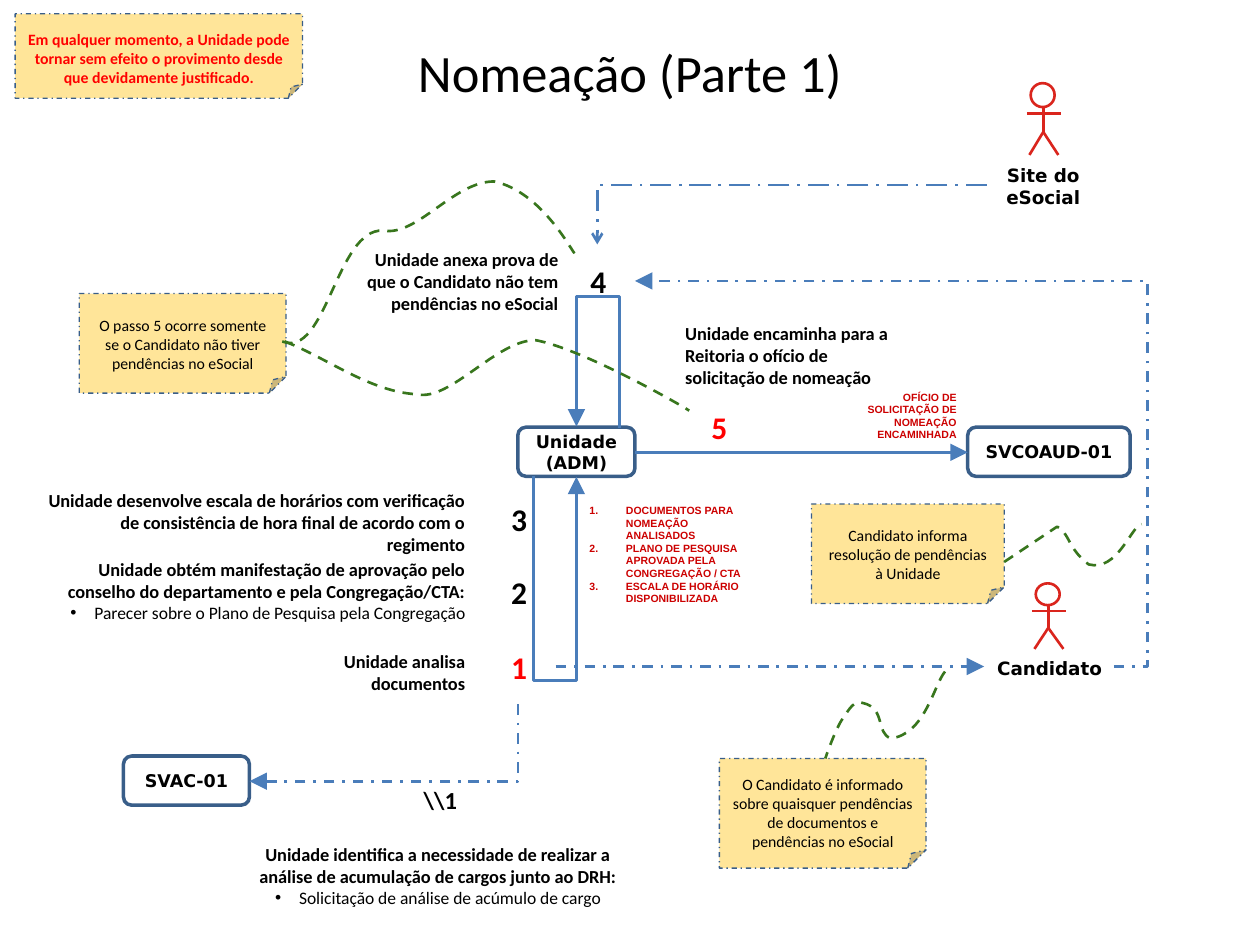
"""Build the "Nomeação (Parte 1)" process flow slide."""
from lxml.etree import SubElement
from pptx import Presentation
from pptx.dml.color import RGBColor
from pptx.enum.dml import MSO_LINE
from pptx.enum.shapes import MSO_CONNECTOR, MSO_SHAPE
from pptx.enum.text import MSO_ANCHOR, PP_ALIGN
from pptx.oxml.ns import qn
from pptx.util import Inches, Pt

COLORS = {"black": "000000", "red": "FF0000", "crimson": "CC0000", "white": "FFFFFF",
          "flow": "4A7DBA", "border": "395E89", "note": "FFE599",
          "person": "DA251D", "link": "38761D"}
RGB = {name: RGBColor.from_string(value) for name, value in COLORS.items()}
LEFT, CENTER, RIGHT = PP_ALIGN.LEFT, PP_ALIGN.CENTER, PP_ALIGN.RIGHT
STEP = {"size": Pt(10.5), "name": "Calibri", "bold": True}
DETAIL = {"size": Pt(10), "name": "Calibri", "bold": False}
NUMBER = {"size": Pt(18), "name": "Calibri", "bold": True}
CODE = {"size": Pt(14), "name": "Calibri", "bold": True}
ACTOR = {"size": Pt(10), "name": "DejaVu Sans", "bold": True}
PERSON = {"size": Pt(10.5), "name": "DejaVu Sans", "bold": True}
DOCUMENT = {"size": Pt(6), "name": "Arial", "bold": True}
NOTE = {"size": Pt(9), "name": "Calibri", "bold": False}
ALERT = {"size": Pt(9), "name": "Calibri", "bold": True}
TITLE = {"size": Pt(30), "name": "Calibri", "bold": False}


def write(sp, paragraphs, fmt, color="black", align=CENTER, anchor=MSO_ANCHOR.MIDDLE,
          top=0.05, bottom=0.05):
    tf = sp.text_frame
    frame = {"word_wrap": True, "vertical_anchor": anchor,
             "margin_left": Inches(0.1), "margin_right": Inches(0.1),
             "margin_top": Inches(top), "margin_bottom": Inches(bottom)}
    for key, value in frame.items():
        setattr(tf, key, value)
    for i, text in enumerate(paragraphs):
        p = tf.add_paragraph() if i else tf.paragraphs[0]
        p.alignment = align
        numbered, bulleted = fmt is DOCUMENT and len(paragraphs) > 1, text.startswith("•")
        if numbered or bulleted:
            indent = 0.29 if numbered else 0.19
            pPr = p._p.get_or_add_pPr()
            pPr.set("marL", str(Inches(0.5 if numbered else indent)))
            pPr.set("indent", str(-Inches(indent)))
            SubElement(SubElement(pPr, qn("a:buClr")), qn("a:srgbClr"), val=COLORS[color])
            SubElement(pPr, qn("a:buFont"), typeface="Arial")
            if numbered:
                SubElement(pPr, qn("a:buAutoNum"), type="arabicPeriod")
            else:
                SubElement(pPr, qn("a:buChar"), char="•")
        r = p.add_run()
        r.text = text.lstrip("•")
        for key, value in (DETAIL if bulleted else fmt).items():
            setattr(r.font, key, value)
        r.font.color.rgb = RGB[color]


def style_line(sp, color, width=1.5, dash=None, head=None, size="lg"):
    sp.line.color.rgb = RGB[color]
    sp.line.width = Pt(width)
    if dash:
        sp.line.dash_style = dash
    if head:
        SubElement(sp.line._get_or_add_ln(), qn("a:tailEnd"), type=head, w=size, len=size)
    if sp._element.spPr.find(qn("a:effectLst")) is None:
        SubElement(sp._element.spPr, qn("a:effectLst"))


prs = Presentation()
prs.slide_width, prs.slide_height = Inches(10), Inches(7.5)
s = prs.slides.add_slide(prs.slide_layouts[5])
title = s.shapes.title
title.left, title.top, title.width, title.height = map(Inches, (0.5, 0.3, 9, 0.54))
write(title, ["Nomeação (Parte 1)"], TITLE)

for box, label in [
    ((4.11, 3.39, 0.93, 0.39), ["Unidade", "(ADM)"]),
    ((0.98, 6, 1, 0.39), ["SVAC-01"]),
    ((7.68, 3.39, 1.29, 0.39), ["SVCOAUD-01"]),
]:
    sp = s.shapes.add_shape(MSO_SHAPE.ROUNDED_RECTANGLE, *map(Inches, box))
    sp.shadow.inherit = False
    sp.fill.background()
    style_line(sp, "border", 2)
    write(sp, label, ACTOR)

for box, paragraphs, fmt, color, align in [
    ((0.28, 3.83, 3.51, 0.64), ["Unidade desenvolve escala de horários com verificação de "
     "consistência de hora final de acordo com o regimento"], STEP, "black", RIGHT),
    ((0.24, 4.38, 3.55, 0.58), ["Unidade obtém manifestação de aprovação pelo conselho do "
     "departamento e pela Congregação/CTA:",
     "•Parecer sobre o Plano de Pesquisa pela Congregação"], STEP, "black", RIGHT),
    ((2.55, 5.11, 1.24, 0.43), ["Unidade analisa documentos"], STEP, "black", RIGHT),
    ((1.85, 6.64, 3.25, 0.63), ["Unidade identifica a necessidade de realizar a análise de "
     "acumulação de cargos junto ao DRH:",
     "•Solicitação de análise de acúmulo de cargo"], STEP, "black", CENTER),
    ((5.34, 2.51, 1.86, 0.61), ["Unidade encaminha para a Reitoria o ofício de solicitação "
     "de nomeação"], STEP, "black", LEFT),
    ((2.73, 1.92, 1.8, 0.64), ["Unidade anexa prova de que o Candidato não tem pendências "
     "no eSocial"], STEP, "black", RIGHT),
    ((4.37, 3.9, 1.64, 1.06), ["DOCUMENTOS PARA NOMEAÇÃO ANALISADOS",
     "PLANO DE PESQUISA APROVADA PELA CONGREGAÇÃO / CTA",
     "ESCALA DE HORÁRIO DISPONIBILIZADA"], DOCUMENT, "crimson", LEFT),
    ((6.57, 3, 1.12, 0.54), ["OFÍCIO DE SOLICITAÇÃO DE NOMEAÇÃO ENCAMINHADA"],
     DOCUMENT, "crimson", RIGHT),
    ((3.23, 6.18, 0.53, 0.4), [r"\\1"], CODE, "black", CENTER),
    ((3.89, 5.09, 0.46, 0.4), ["1"], NUMBER, "red", CENTER),
    ((3.89, 4.5, 0.46, 0.4), ["2"], NUMBER, "black", CENTER),
    ((3.89, 3.92, 0.46, 0.4), ["3"], NUMBER, "black", CENTER),
    ((4.52, 2.03, 0.46, 0.4), ["4"], NUMBER, "black", CENTER),
    ((5.48, 3.19, 0.46, 0.4), ["5"], NUMBER, "red", CENTER),
]:
    margin = 0.1 if fmt is DOCUMENT else 0.05
    sp = s.shapes.add_textbox(*map(Inches, box))
    write(sp, paragraphs, fmt, color, align, MSO_ANCHOR.TOP, margin, margin)

for ends, dash in [
    ((5.04, 3.59, 7.68, 3.59), None),
    ((4.41, 5.29, 7.81, 5.29), MSO_LINE.DASH_DOT),
]:
    c = s.shapes.add_connector(MSO_CONNECTOR.STRAIGHT, *map(Inches, ends))
    style_line(c, "flow", dash=dash, head="triangle")

for ends, rotation, bend, dash, head, size in [
    ((4.41, 3.61, 4.4, 3.95), 270, 165, None, "triangle", "lg"),
    ((4.74, 3.56, 4.75, 3.22), 270, 106, None, "triangle", "lg"),
    ((2.74, 4.83, 3.35, 6.96), 90, None, MSO_LINE.DASH_DOT, "triangle", "lg"),
    ((8.84, 5.29, 5.04, 2.23), 0, -0.07, MSO_LINE.DASH_DOT, "triangle", "lg"),
    ((4.74, 1.94, 7.83, 1.47), 180, None, MSO_LINE.LONG_DASH_DOT, "arrow", "med"),
]:
    c = s.shapes.add_connector(MSO_CONNECTOR.ELBOW, *map(Inches, ends))
    c.rotation = rotation
    geometry = c._element.spPr.find(qn("a:prstGeom"))
    if bend is None:
        geometry.set("prst", "bentConnector2")
    else:
        SubElement(geometry.find(qn("a:avLst")), qn("a:gd"), name="adj1",
                   fmla=f"val {round(bend * 100000)}")
    style_line(c, "flow", dash=dash, head=head, size=size)

for box, text, fmt, color in [
    ((5.71, 6.02, 1.64, 0.87), "O Candidato é informado sobre quaisquer pendências de "
     "documentos e pendências no eSocial", NOTE, "black"),
    ((0.63, 2.33, 1.64, 0.79), "O passo 5 ocorre somente se o Candidato não tiver "
     "pendências no eSocial", NOTE, "black"),
    ((6.44, 4, 1.53, 0.79), "Candidato informa resolução de pendências à Unidade",
     NOTE, "black"),
    ((0.12, 0.11, 2.28, 0.67), "Em qualquer momento, a Unidade pode tornar sem efeito o "
     "provimento desde que devidamente justificado.", ALERT, "red"),
]:
    sp = s.shapes.add_shape(MSO_SHAPE.FOLDED_CORNER, *map(Inches, box))
    sp.shadow.inherit = False
    sp.fill.solid()
    sp.fill.fore_color.rgb = RGB["note"]
    style_line(sp, "border", 0.75, MSO_LINE.DASH_DOT)
    write(sp, [text], fmt, color, top=0.19)

for start, segments in [
    ((797, 446), [[(839, 418)], [(849, 423), (847, 435), (864, 448)],
                  [(887, 454), (898, 417), (906, 416)]]),
    ((226, 271), [[(261, 285), (294, 311), (331, 313)], [(357, 319), (394, 270), (425, 270)],
                  [(463, 277), (545, 324), (547, 326)]]),
    ((224, 271), [[(259, 285), (267, 181), (304, 183)], [(331, 188), (360, 144), (392, 144)],
                  [(430, 152), (454, 200), (456, 201)]]),
    ((750, 533), [[(741, 544), (734, 583), (707, 586)], [(695, 582), (703, 562), (685, 558)],
                  [(678, 555), (674, 563), (669, 570)], [(664, 577), (657, 596), (655, 602)]]),
]:
    builder = s.shapes.build_freeform(*start, scale=Inches(0.01))
    builder.add_line_segments([point for segment in segments for point in segment], close=False)
    sp = builder.convert_to_shape()
    outline = next(sp._element.spPr.iter(qn("a:path")))
    steps = iter(outline.findall(qn("a:lnTo")))
    for segment in segments:
        parts = [next(steps) for _ in segment]
        if len(parts) == 3:
            curve = SubElement(outline, qn("a:cubicBezTo"))
            for part in parts:
                curve.append(part[0])
                outline.remove(part)
    sp.shadow.inherit = False
    sp.fill.background()
    style_line(sp, "link", dash=MSO_LINE.DASH)

for x, y, height, box, label in [
    (8.32, 4.63, 0.52, (7.81, 5.17, 1.04, 0.25), "Candidato"),
    (8.28, 0.66, 0.57, (7.83, 1.25, 0.9, 0.43), "Site do eSocial"),
]:
    person = s.shapes.add_group_shape().shapes
    neck, arms, hip, feet = (y + height * part for part in (0.35, 0.42, 0.68, 1))
    head = person.add_shape(MSO_SHAPE.OVAL, Inches(x - 0.1), Inches(y),
                            Inches(0.19), Inches(height / 3))
    head.shadow.inherit = False
    head.fill.solid()
    head.fill.fore_color.rgb = RGB["white"]
    style_line(head, "person")
    for limb in [(x, neck, x, hip), (x - 0.13, arms, x, arms), (x + 0.14, arms, x, arms),
                 (x, hip, x - 0.11, feet), (x, hip, x + 0.12, feet)]:
        style_line(person.add_connector(MSO_CONNECTOR.STRAIGHT, *map(Inches, limb)), "person")
    write(person.add_textbox(*map(Inches, box)), [label], PERSON, anchor=MSO_ANCHOR.TOP)

prs.save("out.pptx")
